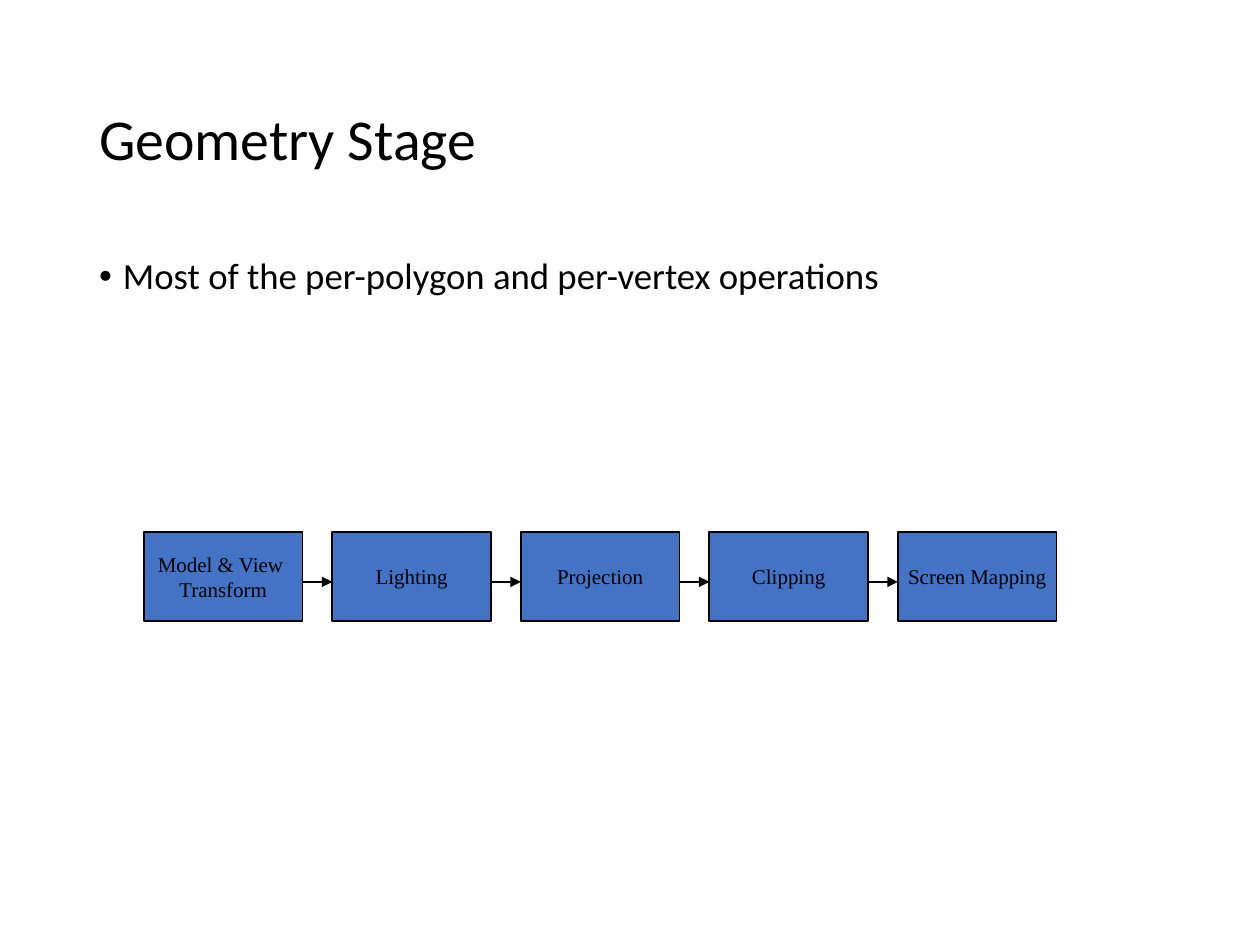
from lxml.etree import SubElement
from pptx import Presentation
from pptx.dml.color import RGBColor
from pptx.enum.shapes import MSO_CONNECTOR as Link, MSO_SHAPE as Shape
from pptx.enum.text import MSO_ANCHOR as Anchor, PP_ALIGN as Align
from pptx.oxml.ns import qn
from pptx.util import Cm, Pt

# Content
TITLE = "Geometry Stage"
POINT = "Most of the per-polygon and per-vertex operations"
STEPS = ["Model & View \vTransform", "Lighting", "Projection",
         "Clipping", "Screen Mapping"]

BLACK = RGBColor(0x00, 0x00, 0x00)
BLUE = RGBColor(0x44, 0x72, 0xC4)

# Layout in centimetres
LEFT, WIDTH = 1.75, 21.92
STEP_X, STEP_Y, STEP_W, STEP_H = 2.9, 10.72, 3.2, 1.8
PITCH = 3.8
ARROW_Y = 11.73


def style(para, font, size):
    para.font.name = font
    para.font.size = Pt(size)
    para.font.color.rgb = BLACK


def add_text(slide, top, height, text, size):
    box = slide.shapes.add_textbox(Cm(LEFT), Cm(top), Cm(WIDTH), Cm(height))
    frame = box.text_frame
    frame.word_wrap = True
    frame.text = text
    para = frame.paragraphs[0]
    para.line_spacing = 0.9
    return frame, para


def add_step(slide, left, text):
    box = slide.shapes.add_shape(Shape.RECTANGLE, Cm(left), Cm(STEP_Y),
                                 Cm(STEP_W), Cm(STEP_H))
    box.shadow.inherit = False
    box.fill.solid()
    box.fill.fore_color.rgb = BLUE
    box.line.color.rgb = BLACK
    box.line.width = Pt(1)
    frame = box.text_frame
    frame.word_wrap = False
    frame.vertical_anchor = Anchor.MIDDLE
    frame.text = text
    para = frame.paragraphs[0]
    para.alignment = Align.CENTER
    style(para, "Times New Roman", 12)


def add_arrow(slide, start, end):
    arrow = slide.shapes.add_connector(Link.STRAIGHT, Cm(start), Cm(ARROW_Y),
                                       Cm(end), Cm(ARROW_Y))
    arrow.line.color.rgb = BLACK
    arrow.line.width = Pt(1)
    SubElement(arrow.line._get_or_add_ln(), qn("a:tailEnd"), type="triangle")
    SubElement(arrow._element.spPr, qn("a:effectLst"))


def main():
    prs = Presentation()
    prs.slide_width, prs.slide_height = Cm(25.4), Cm(19.05)
    slide = prs.slides.add_slide(prs.slide_layouts[6])

    # Title
    frame, para = add_text(slide, 1.02, 3.68, TITLE, 33)
    frame.vertical_anchor = Anchor.MIDDLE
    style(para, "Calibri", 33)

    # Bullet point
    frame, para = add_text(slide, 5.08, 12.09, POINT, 21)
    props = para._p.get_or_add_pPr()
    props.set("marL", str(Cm(0.48)))
    props.set("indent", str(-Cm(0.48)))
    SubElement(props, qn("a:buFont"), typeface="Arial")
    SubElement(props, qn("a:buChar"), char="•")
    style(para, "Calibri", 21)

    # Pipeline boxes, then the arrows between them
    lefts = [STEP_X + i * PITCH for i in range(len(STEPS))]
    for left, text in zip(lefts, STEPS):
        add_step(slide, left, text)
    for left, right in zip(lefts, lefts[1:]):
        add_arrow(slide, left + STEP_W, right)

    prs.save("out.pptx")


if __name__ == "__main__":
    main()
